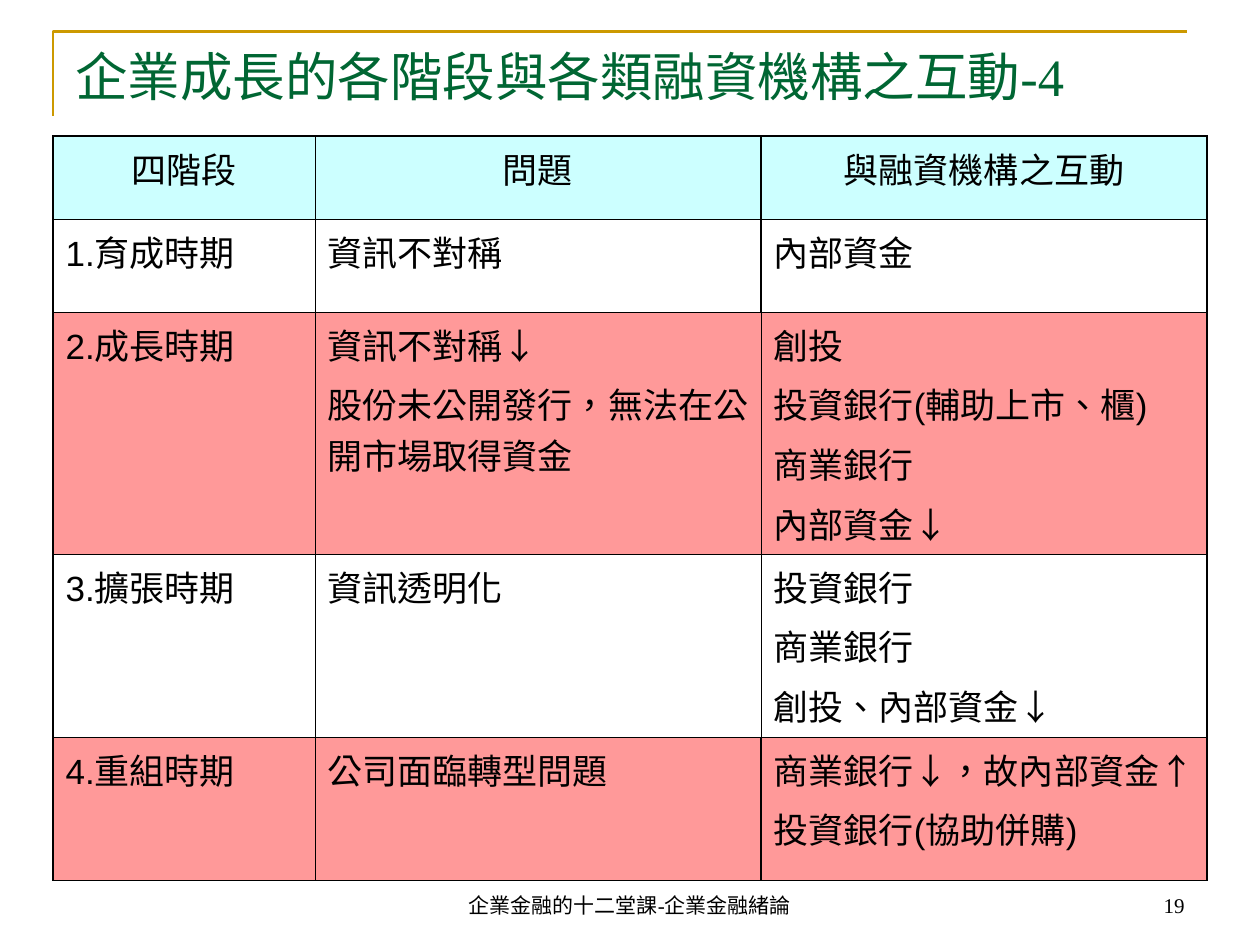
from lxml import etree
from pptx import Presentation
from pptx.dml.color import RGBColor
from pptx.enum.text import MSO_ANCHOR, PP_ALIGN
from pptx.oxml.ns import qn
from pptx.util import Inches, Pt

LEFT, CENTER, RIGHT = PP_ALIGN.LEFT, PP_ALIGN.CENTER, PP_ALIGN.RIGHT
TOP, BOTTOM = MSO_ANCHOR.TOP, MSO_ANCHOR.BOTTOM

COLORS = {"text": "000000", "title": "006633", "rule": "CC9900",
          "header": "CCFFFF", "accent": "FF9999"}
SERIF, SANS = "Times New Roman", "Arial"
LANGUAGE = "zh-TW"
W, H = 10, 7.5
MARGIN = 0.05 * W

TITLE = "企業成長的各階段與各類融資機構之互動-4"
FOOTER = "企業金融的十二堂課-企業金融緒論"
PAGE = "19"
ROWS = [
    (["四階段"], ["問題"], ["與融資機構之互動"]),
    (["1.育成時期"], ["資訊不對稱"], ["內部資金"]),
    (["2.成長時期"],
     ["資訊不對稱↓", "股份未公開發行，無法在公開市場取得資金"],
     ["創投", "投資銀行(輔助上市、櫃)", "商業銀行", "內部資金↓"]),
    (["3.擴張時期"], ["資訊透明化"],
     ["投資銀行", "商業銀行", "創投、內部資金↓"]),
    (["4.重組時期"], ["公司面臨轉型問題"],
     ["商業銀行↓，故內部資金↑", "投資銀行(協助併購)"]),
]
ROW_FILLS = ["header", None, "accent", None, "accent"]
ROW_HEIGHTS = [0.66, 0.74, 1.92, 1.45, 1.14]
COL_WIDTHS = [2.08, 3.54, 3.54]
TABLE_LEFT, TABLE_TOP = 0.42, 1.08
THIN, THICK = 0.45, 1.08
THIN_DIVIDER_ROWS = (2, 3)


def rgb(name):
    return RGBColor.from_string(COLORS[name])


def write(tf, lines, size, font, color, align):
    for i, line in enumerate(lines):
        p = tf.paragraphs[0] if i == 0 else tf.add_paragraph()
        p.alignment = align
        if i:
            p.space_before = Pt(5)
        r = p.add_run()
        r.text = line
        r.font.size = Pt(size)
        r.font.name = font
        r.font.color.rgb = rgb(color)
        r._r.get_or_add_rPr().set("lang", LANGUAGE)


def add_text(s, box, text, size, color, align, anchor):
    tf = s.shapes.add_textbox(*map(Inches, box)).text_frame
    tf.word_wrap = True
    tf.vertical_anchor = anchor
    write(tf, [text], size, SERIF, color, align)


def set_borders(cell, widths):
    tcPr = cell._tc.get_or_add_tcPr()
    for i, (side, width) in enumerate(widths.items()):
        ln = etree.Element(qn(f"a:ln{side}"), w=str(Pt(width)))
        fill = etree.SubElement(ln, qn("a:solidFill"))
        etree.SubElement(fill, qn("a:srgbClr"), val=COLORS["text"])
        tcPr.insert(i, ln)


def add_corner_rule(s):
    x, y = TABLE_LEFT, 0.25
    fb = s.shapes.build_freeform(Inches(x), Inches(y + 0.67))
    fb.add_line_segments([(Inches(x), Inches(y)), (Inches(x + 0.9 * W), Inches(y))],
                         close=False)
    sp = fb.convert_to_shape()
    sp.shadow.inherit = False
    sp.fill.background()
    sp.line.color.rgb = rgb("rule")
    sp.line.width = Pt(1.5)


def add_stage_table(s):
    n_rows, n_cols = len(ROWS), len(COL_WIDTHS)
    table = s.shapes.add_table(
        n_rows, n_cols, Inches(TABLE_LEFT), Inches(TABLE_TOP),
        Inches(sum(COL_WIDTHS)), Inches(sum(ROW_HEIGHTS))).table
    table.first_row = table.horz_banding = False
    for col, width in zip(table.columns, COL_WIDTHS):
        col.width = Inches(width)
    for row, height in zip(table.rows, ROW_HEIGHTS):
        row.height = Inches(height)
    for i, row in enumerate(ROWS):
        divider = THIN if i in THIN_DIVIDER_ROWS else THICK
        verticals = [THICK, THIN, divider, THICK]
        for j, lines in enumerate(row):
            cell = table.cell(i, j)
            write(cell.text_frame, lines, 20, SANS, "text", LEFT if i else CENTER)
            if ROW_FILLS[i]:
                cell.fill.solid()
                cell.fill.fore_color.rgb = rgb(ROW_FILLS[i])
            else:
                cell.fill.background()
            set_borders(cell, {"L": verticals[j], "R": verticals[j + 1],
                               "T": THIN if i else THICK,
                               "B": THICK if i == n_rows - 1 else THIN})


def main():
    prs = Presentation()
    prs.slide_width, prs.slide_height = Inches(W), Inches(H)
    s = prs.slides.add_slide(prs.slide_layouts[6])
    add_corner_rule(s)
    foot_top, foot_height = 6.83, 0.5
    foot_width, page_width = 3.17, 2.33
    add_text(s, ((W - foot_width) / 2, foot_top, foot_width, foot_height),
             FOOTER, 12, "text", CENTER, BOTTOM)
    add_text(s, (W - MARGIN - page_width, foot_top, page_width, foot_height),
             PAGE, 12, "text", RIGHT, BOTTOM)
    add_text(s, (MARGIN, 0.3, W - 2 * MARGIN, 1.25), TITLE, 30, "title", LEFT, TOP)
    add_stage_table(s)
    prs.save("out.pptx")


if __name__ == "__main__":
    main()
